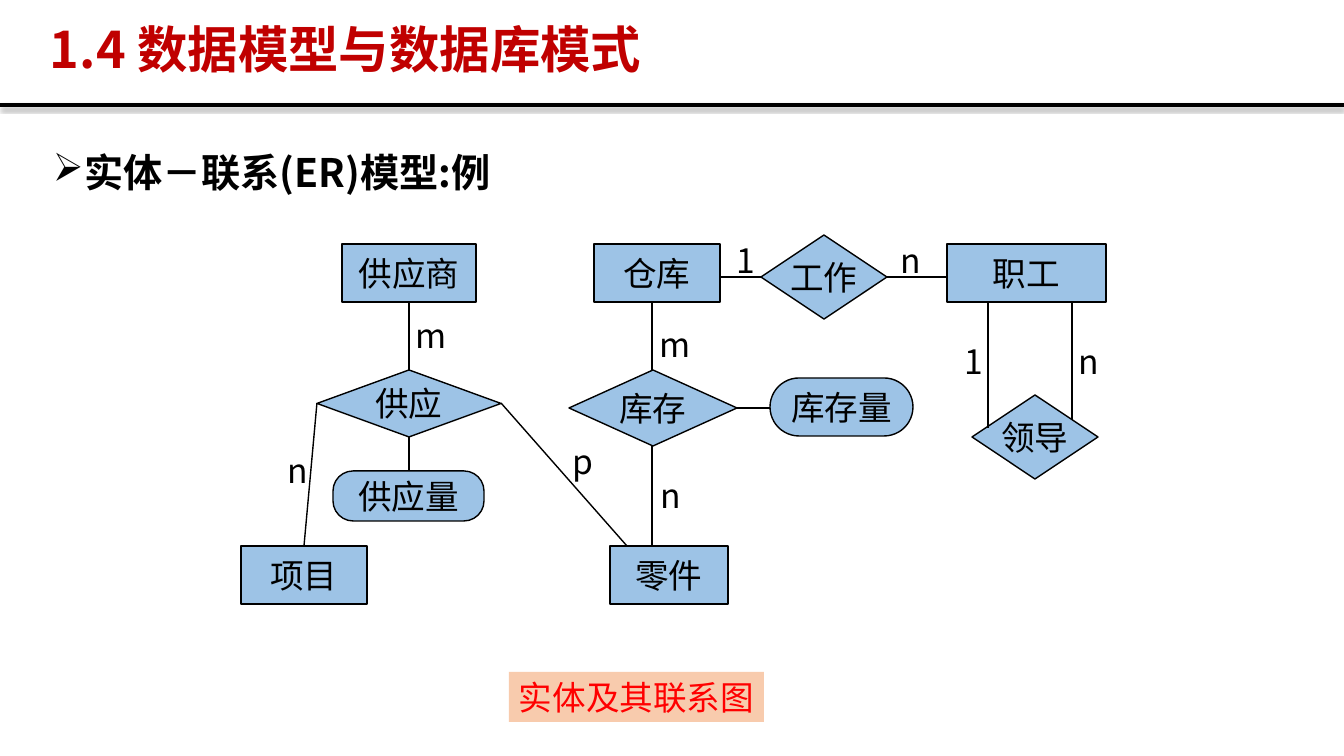
from dataclasses import dataclass

from lxml import etree
from pptx import Presentation
from pptx import util as u
from pptx.dml.color import RGBColor
from pptx.enum import shapes, text
from pptx.oxml.ns import qn

RECT = shapes.MSO_SHAPE.RECTANGLE
DIAMOND = shapes.MSO_SHAPE.DIAMOND
ROUNDED = shapes.MSO_SHAPE.ROUNDED_RECTANGLE


@dataclass(frozen=True)
class Theme:
    font: str = "Noto Sans CJK SC"
    ink: str = "000000"
    heading: str = "C00000"
    entity: str = "9DC3E6"
    caption: str = "FF0000"
    caption_fill: str = "F8CBAD"
    title_size: int = 36
    topic_size: int = 28
    node_size: int = 24
    rule_width: int = 3
    line_width: int = 1


class Board:
    EMU_PER_PX = 914400 / 100.8

    def __init__(self, theme, width, height):
        self.theme = theme
        self.deck = Presentation()
        self.deck.slide_width, self.deck.slide_height = self.emu(width, height)
        self.slide = self.deck.slides.add_slide(self.deck.slide_layouts[6])

    def emu(self, *lengths):
        return [u.Emu(round(n * self.EMU_PER_PX)) for n in lengths]

    def fill_text(self, shape, words, size, color, bold=False,
                  align=text.PP_ALIGN.CENTER, anchor=text.MSO_ANCHOR.MIDDLE,
                  wrap=False, spacing=None, bullet=None, indent=0):
        frame = shape.text_frame
        frame.word_wrap, frame.vertical_anchor = wrap, anchor
        paragraph = frame.paragraphs[0]
        paragraph.alignment = align
        if spacing:
            paragraph.line_spacing = spacing
        if bullet:
            props = paragraph._p.get_or_add_pPr()
            hang = self.emu(indent)[0]
            props.set("marL", str(hang))
            props.set("indent", str(-hang))
            etree.SubElement(props, qn("a:buChar"), char=bullet)
        run = paragraph.add_run()
        run.text = words
        formats = {"name": self.theme.font, "size": u.Pt(size), "bold": bold}
        for key, value in formats.items():
            setattr(run.font, key, value)
        run.font.color.rgb = RGBColor.from_string(color)
        etree.SubElement(run._r.get_or_add_rPr(), qn("a:ea"),
                         typeface=self.theme.font)

    def label(self, box, words, size, color, **formats):
        shape = self.slide.shapes.add_textbox(*self.emu(*box))
        self.fill_text(shape, words, size, color, **formats)

    def node(self, kind, box, words, fill, color, outline=None, rounding=None):
        shape = self.slide.shapes.add_shape(kind, *self.emu(*box))
        shape.shadow.inherit = False
        if rounding:
            shape.adjustments[0] = rounding
        shape.fill.solid()
        shape.fill.fore_color.rgb = RGBColor.from_string(fill)
        if outline:
            shape.line.color.rgb = RGBColor.from_string(outline)
            shape.line.width = u.Pt(self.theme.line_width)
        else:
            shape.line.fill.background()
        self.fill_text(shape, words, self.theme.node_size, color)

    def line(self, ends, width, shadow=False):
        link = self.slide.shapes.add_connector(
            shapes.MSO_CONNECTOR.STRAIGHT, *self.emu(*ends))
        link.line.color.rgb = RGBColor.from_string(self.theme.ink)
        link.line.width = u.Pt(width)
        effects = etree.SubElement(link._element.spPr, qn("a:effectLst"))
        if shadow:
            outer = etree.SubElement(
                effects, qn("a:outerShdw"), blurRad=str(u.Pt(3.1)),
                dist=str(u.Pt(1.8)), dir="5400000", algn="t", rotWithShape="0")
            tint = etree.SubElement(outer, qn("a:srgbClr"), val=self.theme.ink)
            etree.SubElement(tint, qn("a:alpha"), val="35000")


def main():
    theme = Theme()
    board = Board(theme, 1344, 756)

    # Heading and topic
    board.line((0, 105, 1344, 105), theme.rule_width, shadow=True)
    board.label((43, 134, 1263, 546), "实体－联系(ER)模型:例",
                theme.topic_size, theme.ink, bold=True, wrap=True,
                align=text.PP_ALIGN.JUSTIFY, anchor=text.MSO_ANCHOR.TOP,
                spacing=1.2, bullet="➢", indent=25)
    board.label((40, 19, 1179, 66), "1.4 数据模型与数据库模式",
                theme.title_size, theme.heading, bold=True, wrap=True,
                align=text.PP_ALIGN.JUSTIFY, spacing=0.9)

    # Entities, relationships and attributes
    nodes = [
        (RECT, (342, 244, 134, 58), "供应商", None),
        (RECT, (241, 546, 126, 58), "项目", None),
        (RECT, (610, 546, 118, 58), "零件", None),
        (RECT, (594, 244, 126, 58), "仓库", None),
        (RECT, (947, 244, 159, 58), "职工", None),
        (DIAMOND, (317, 370, 184, 67), "供应", None),
        (DIAMOND, (569, 370, 168, 76), "库存", None),
        (DIAMOND, (972, 395, 126, 84), "领导", None),
        (DIAMOND, (761, 235, 126, 84), "工作", None),
        (ROUNDED, (333, 471, 151, 50), "供应量", 0.4),
        (ROUNDED, (770, 378, 143, 58), "库存量", 0.5),
    ]
    for kind, box, name, rounding in nodes:
        board.node(kind, box, name, theme.entity, theme.ink,
                   outline=theme.ink, rounding=rounding)

    # Links between them
    links = [
        (409, 302, 409, 370),    # 供应商 - 供应
        (409, 437, 409, 471),    # 供应 - 供应量
        (317, 403, 304, 546),    # 供应 - 项目
        (501, 403, 627, 546),    # 供应 - 零件
        (652, 370, 652, 302),    # 库存 - 仓库
        (652, 446, 652, 546),    # 库存 - 零件
        (737, 408, 770, 408),    # 库存 - 库存量
        (761, 277, 720, 277),    # 工作 - 仓库
        (887, 277, 947, 277),    # 工作 - 职工
        (988, 302, 988, 428),    # 职工 - 领导
        (1072, 302, 1072, 420),  # 领导 - 职工
    ]
    for ends in links:
        board.line(ends, theme.line_width)

    # Cardinalities
    cardinalities = [
        ("m", 405, 310), ("n", 277, 445), ("p", 562, 436),
        ("m", 649, 319), ("n", 650, 470), ("1", 725, 235),
        ("n", 890, 235), ("1", 953, 336), ("n", 1068, 336),
    ]
    for sign, left, top in cardinalities:
        width = 52 if sign == "m" else 41
        board.label((left, top, width, 50), sign, theme.node_size, theme.ink)

    # Caption
    board.node(RECT, (509, 672, 255, 50), "实体及其联系图",
               theme.caption_fill, theme.caption)

    board.deck.save("out.pptx")


if __name__ == "__main__":
    main()
